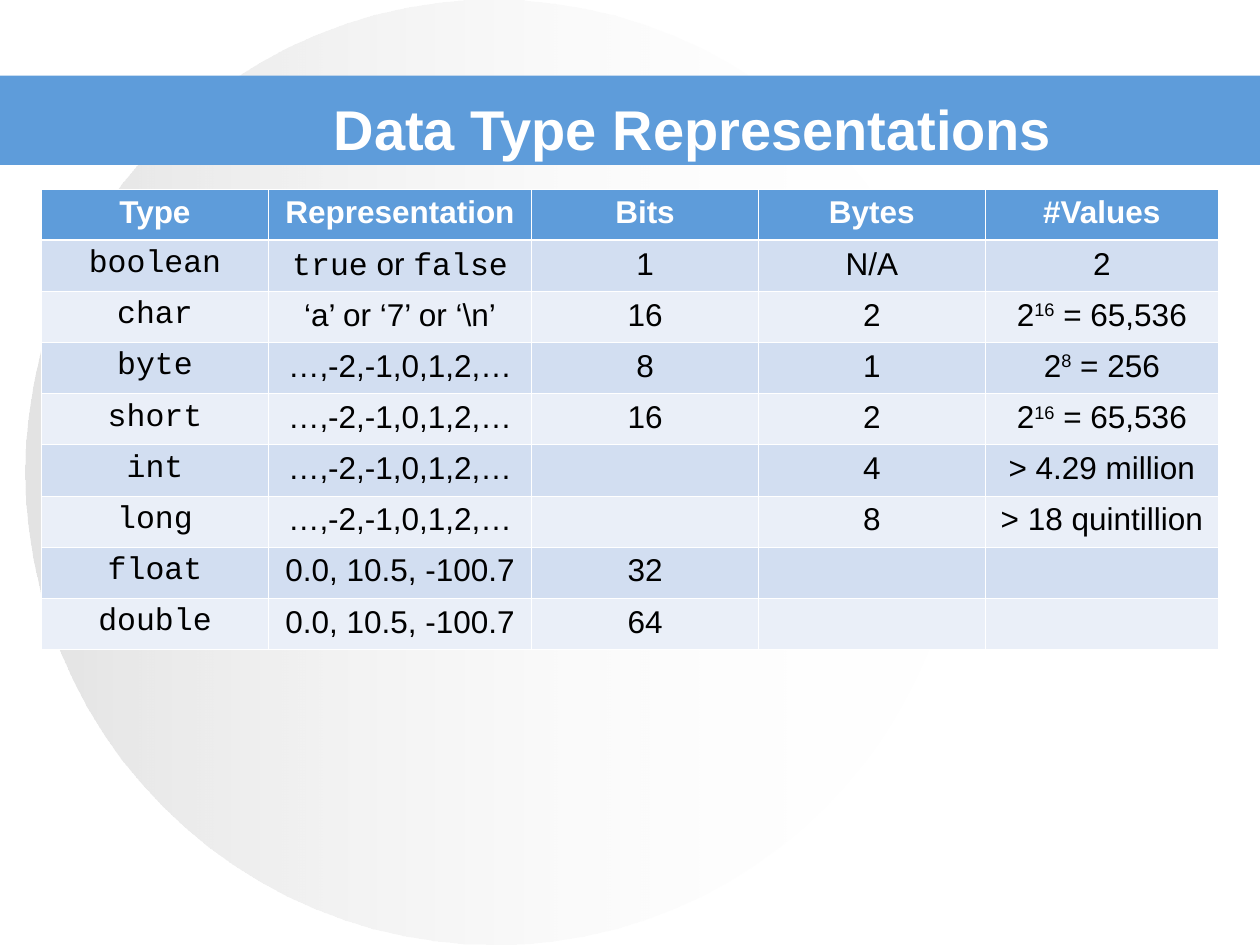
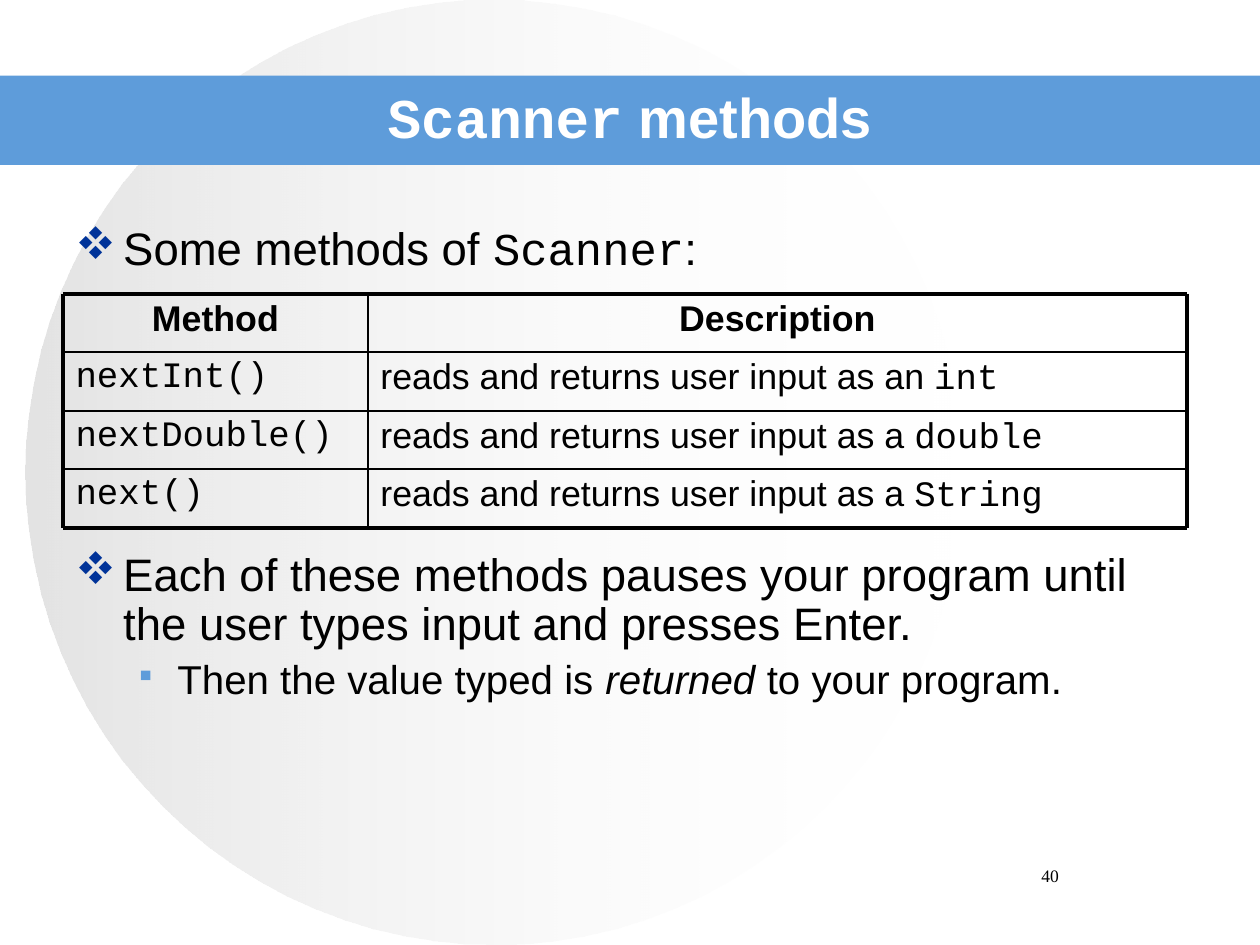
from lxml import etree
from pptx import Presentation
from pptx.dml.color import RGBColor
from pptx.enum.shapes import MSO_CONNECTOR, MSO_SHAPE
from pptx.enum.text import MSO_ANCHOR, PP_ALIGN
from pptx.oxml.ns import qn
from pptx.util import Inches, Pt

OVAL, RECT = MSO_SHAPE.OVAL, MSO_SHAPE.RECTANGLE
STRAIGHT = MSO_CONNECTOR.STRAIGHT
LEFT, CENTER = PP_ALIGN.LEFT, PP_ALIGN.CENTER
TOP, MIDDLE = MSO_ANCHOR.TOP, MSO_ANCHOR.MIDDLE

WHITE = RGBColor(0xFF, 0xFF, 0xFF)
BLACK = RGBColor(0, 0, 0)
GRAY = RGBColor(0xC0, 0xC0, 0xC0)
BLUE = RGBColor(0x5E, 0x9C, 0xDA)
NAVY = RGBColor(0x00, 0x33, 0x99)
BANDS = [RGBColor(0xD2, 0xDE, 0xF1), RGBColor(0xEA, 0xEF, 0xF8)]
SANS, MONO, SERIF = "Arial", "Courier New", "Times New Roman"

# A text is a list of runs; a run is a string or (string, flags):
# m = monospace, b = bold, i = italic, s = superscript.
INTS = ["…,-2,-1,0,1,2,…"]
REALS = ["0.0, 10.5, -100.7"]
SHORTS = ["2", ("16", "s"), " = 65,536"]
TYPES = [
    [[(head, "b")] for head in
     ("Type", "Representation", "Bits", "Bytes", "#Values")],
    [[("boolean", "m")], [("true", "m"), " or ", ("false", "m")],
     ["1"], ["N/A"], ["2"]],
    [[("char", "m")], ["‘a’ or ‘7’ or ‘\\n’"], ["16"], ["2"], SHORTS],
    [[("byte", "m")], INTS, ["8"], ["1"], ["2", ("8", "s"), " = 256"]],
    [[("short", "m")], INTS, ["16"], ["2"], SHORTS],
    [[("int", "m")], INTS, [], ["4"], ["> 4.29 million"]],
    [[("long", "m")], INTS, [], ["8"], ["> 18 quintillion"]],
    [[("float", "m")], REALS, ["32"], [], []],
    [[("double", "m")], REALS, ["64"], [], []],
]
READS = "reads and returns user input as "
METHODS = [
    [[("Method", "b")], [("Description", "b")]],
    [[("nextInt()", "m")], [READS + "an ", ("int", "m")]],
    [[("nextDouble()", "m")], [READS + "a ", ("double", "m")]],
    [[("next()", "m")], [READS + "a ", ("String", "m")]],
]
# Runs, size, space before, left margin, hang, bullet, bullet colour, its size
# (in Wingdings, v is a diamond and § a small square)
POINTS = [
    (["Some methods of ", ("Scanner", "m"), ":"],
     26, 6.5, 0.38, 0.38, "v", NAVY, 100),
    (["Each of these methods pauses your program until "
      "the user types input and presses Enter."],
     26, 157.7, 0.38, 0.38, "v", NAVY, 100),
    (["Then the value typed is ", ("returned", "i"), " to your program."],
     23, 5.8, 0.81, 0.31, "§", BLUE, 80),
]


def write(para, runs, size, color=BLACK, align=LEFT, face=SANS):
    """Add runs to a paragraph."""
    para.alignment = align
    for item in runs:
        text, flags = (item, "") if isinstance(item, str) else item
        run = para.add_run()
        run.text = text
        font = run.font
        font.name = MONO if "m" in flags else face
        font.size = Pt(size)
        font.color.rgb = color
        font.bold = "b" in flags
        font.italic = "i" in flags
        if "s" in flags:
            run._r.get_or_add_rPr().set("baseline", "30000")


def box(slide, at, anchor=TOP):
    """Add a wrapping text box and return its frame."""
    frame = slide.shapes.add_textbox(*map(Inches, at)).text_frame
    frame.word_wrap = True
    frame.vertical_anchor = anchor
    return frame


def shape(slide, kind, at):
    """Add a plain shape without line or shadow."""
    form = slide.shapes.add_shape(kind, *map(Inches, at))
    form.shadow.inherit = False
    form.line.fill.background()
    return form


def rule(slide, ends, width):
    """Draw a black straight line."""
    line = slide.shapes.add_connector(STRAIGHT, *map(Inches, ends))
    line.line.color.rgb = BLACK
    line.line.width = Pt(width)
    etree.SubElement(line._element.spPr, qn("a:effectLst"))


def page(deck, title, at):
    """Start a slide with the faded disc, the band and its title."""
    slide = deck.slides.add_slide(deck.slide_layouts[6])
    fill = shape(slide, OVAL, (0.2, 0, 7.44, 7.5)).fill
    fill.gradient()
    fill.gradient_angle = 0
    for stop, color, alpha in zip(fill.gradient_stops, (GRAY, WHITE), (44, 0)):
        stop.color.rgb = color
        node = stop._gs.find(qn("a:srgbClr"))
        etree.SubElement(node, qn("a:alpha")).set("val", str(alpha * 1000))
    band = shape(slide, RECT, (0, 0.6, 10, 0.71))
    band.fill.solid()
    band.fill.fore_color.rgb = BLUE
    write(box(slide, at, MIDDLE).paragraphs[0], title, 32, WHITE, CENTER)
    return slide


def edge(cell, sides=(0, 0, 0, 0), color=WHITE):
    """Draw cell borders from (left, right, top, bottom) widths."""
    props = cell._tc.get_or_add_tcPr()
    for i, (side, width) in enumerate(zip("LRTB", sides)):
        line = etree.Element(qn("a:ln" + side), w=str(Pt(width)))
        if width:
            solid = etree.SubElement(line, qn("a:solidFill"))
            etree.SubElement(solid, qn("a:srgbClr")).set("val", str(color))
        else:
            etree.SubElement(line, qn("a:noFill"))
        props.insert(i, line)


def grid(slide, rows, at, widths, height):
    """Add an unstyled table and yield row, column, cell and runs."""
    table = slide.shapes.add_table(
        len(rows), len(widths), *map(Inches, at),
        Inches(sum(widths)), Inches(height * len(rows))).table
    table.first_row = table.horz_banding = False
    for col, width in zip(table.columns, widths):
        col.width = Inches(width)
    for r, row in enumerate(rows):
        table.rows[r].height = Inches(height)
        for c, runs in enumerate(row):
            yield r, c, table.cell(r, c), runs


def bullet(para, left, hang, mark, color, size):
    """Give a paragraph a hanging bullet."""
    props = para._p.get_or_add_pPr()
    props.set("marL", str(Inches(left)))
    props.set("indent", str(-Inches(hang)))
    tint = etree.SubElement(props, qn("a:buClr"))
    etree.SubElement(tint, qn("a:srgbClr")).set("val", str(color))
    etree.SubElement(props, qn("a:buSzPct")).set("val", str(size * 1000))
    font = etree.SubElement(props, qn("a:buFont"))
    font.set("typeface", "Wingdings")
    font.set("charset", "2")
    etree.SubElement(props, qn("a:buChar")).set("char", mark)


def types(deck):
    """Build the slide of data types."""
    slide = page(deck, [("Data Type Representations", "b")],
                 (2.21, 0.75, 6.58, 0.53))
    thin, thick = 0.45, 1.47
    for r, c, cell, runs in grid(slide, TYPES, (0.33, 1.5),
                                 (1.8, 2.09, 1.8, 1.8, 1.85), 0.406):
        cell.fill.solid()
        cell.fill.fore_color.rgb = BANDS[(r - 1) % 2] if r else BLUE
        edge(cell, (thin, thin, thick if r == 1 else thin,
                    thin if r else thick))
        write(cell.text_frame.paragraphs[0], runs, 18,
              BLACK if r else WHITE, CENTER)


def methods(deck):
    """Build the slide of scanner methods."""
    slide = page(deck, [("Scanner", "bm"), (" methods", "b")],
                 (0.5, 0.3, 9, 1.25))
    frame = box(slide, (0.5, 1.75, 9, 4.95))
    for i, (runs, size, gap, *mark) in enumerate(POINTS):
        para = frame.add_paragraph() if i else frame.paragraphs[0]
        write(para, runs, size)
        para.line_spacing = 0.9
        para.space_before = Pt(gap)
        bullet(para, *mark)
    write(box(slide, (7.17, 6.82, 2.33, 0.5)).paragraphs[0], ["40"], 10,
          align=CENTER, face=SERIF)

    left, top, widths, step = 0.5, 2.33, (2.42, 6.5), 0.465
    for r, c, cell, runs in grid(slide, METHODS, (left, top), widths, step):
        cell.fill.background()
        edge(cell)
        cell.margin_top = Inches(0.05 if r else 0.07)
        para = cell.text_frame.paragraphs[0]
        write(para, runs, 20.4, align=LEFT if r else CENTER)
        para.line_spacing = 0.9

    thin, thick = 0.99, 2.24
    count = len(METHODS)
    right, base = left + sum(widths), top + step * count
    for i in range(count + 1):
        y = top + step * i
        rule(slide, (left, y, right, y), thick if i in (0, count) else thin)
    for x, width in ((left, thick), (left + widths[0], thin), (right, thick)):
        rule(slide, (x, top, x, base), width)


deck = Presentation()
deck.slide_width, deck.slide_height = Inches(10), Inches(7.5)
types(deck)
methods(deck)
deck.save("out.pptx")
